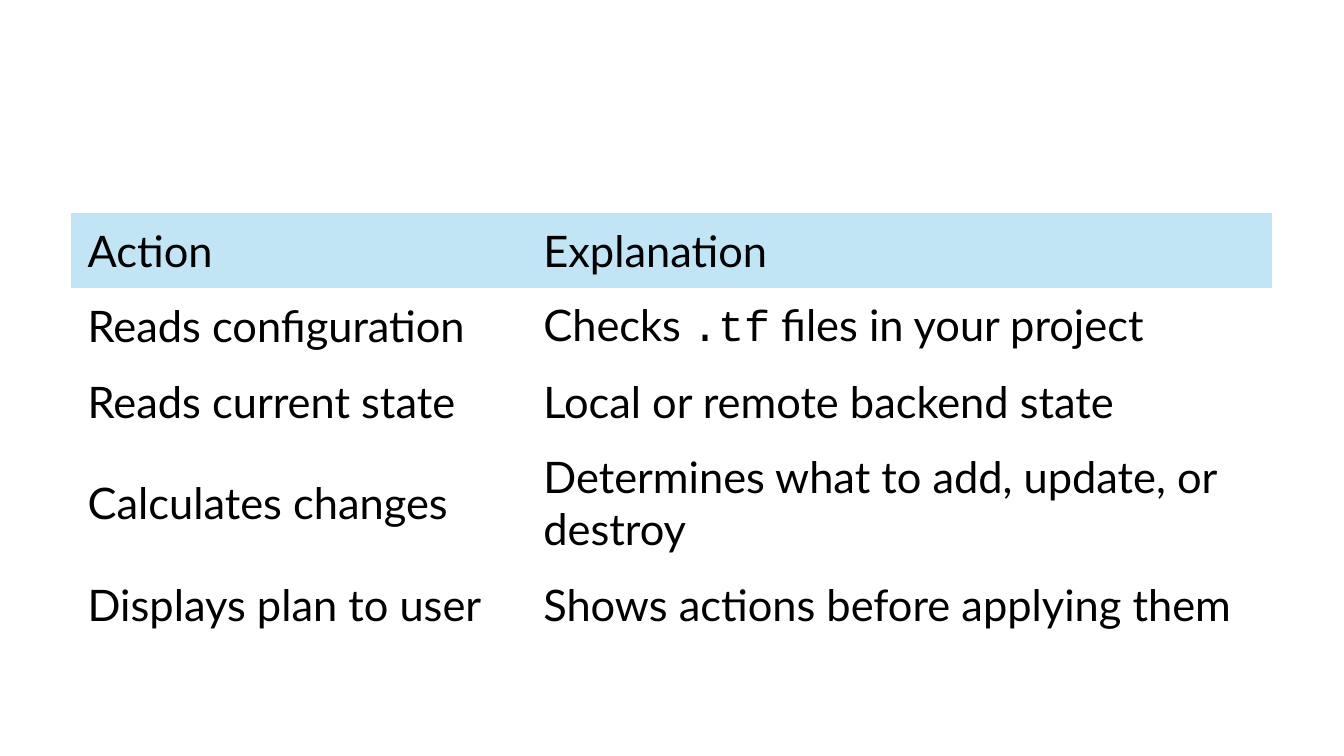
from pptx import Presentation
from pptx import util as u
from pptx.dml.color import RGBColor
from pptx.enum import text

PX = 9144  # 100 px to the inch
COLORS = {"header": "C1E5F5", "ink": "000000", "page": "FFFFFF"}
FONTS = {"body": "Lato", "code": "Courier New"}
NO_STYLE_NO_GRID = "{2D5ABB26-0587-4C30-8999-92F81FD0307C}"

TABLE_BOX = (70, 211, 1192, 425)
COLUMN_WIDTHS = (452, 740)
ROW_HEIGHTS = (75, 75, 75, 126, 75)
PLAN_STEPS = [
    ("Action", "Explanation"),
    ("Reads configuration", "Checks `.tf` files in your project"),
    ("Reads current state", "Local or remote backend state"),
    ("Calculates changes", "Determines what to add, update, or destroy"),
    ("Displays plan to user", "Shows actions before applying them"),
]


def px(length):
    return u.Emu(length * PX)


def write_text(para, words, size=31, color="ink"):
    """Fill a paragraph; words between backticks are set in the code font."""
    for index, piece in enumerate(words.split("`")):
        span = para.add_run()
        span.text = piece
        span.font.name = FONTS["code" if index % 2 else "body"]
        span.font.size = u.Pt(size)
        span.font.bold = False
        span.font.color.rgb = RGBColor.from_string(COLORS[color])


def format_cell(cell, is_header):
    cell.vertical_anchor = text.MSO_ANCHOR.MIDDLE
    cell.margin_left = cell.margin_right = px(17)
    cell.margin_top = cell.margin_bottom = px(8)
    if is_header:
        cell.fill.solid()
        cell.fill.fore_color.rgb = RGBColor.from_string(COLORS["header"])
    else:
        cell.fill.background()


def add_steps_table(page, box):
    frame = page.shapes.add_table(
        len(PLAN_STEPS), len(COLUMN_WIDTHS), *map(px, box))
    table = frame.table
    table.horz_banding = False
    for style in table._tbl.tblPr.iter("{*}tableStyleId"):
        style.text = NO_STYLE_NO_GRID
    for column, width in zip(table.columns, COLUMN_WIDTHS):
        column.width = px(width)
    for row_index, (row, height) in enumerate(zip(table.rows, ROW_HEIGHTS)):
        row.height = px(height)
        for cell, words in zip(row.cells, PLAN_STEPS[row_index]):
            format_cell(cell, is_header=row_index == 0)
            write_text(cell.text_frame.paragraphs[0], words)


def main():
    deck = Presentation()
    deck.slide_width, deck.slide_height = px(1333), px(750)
    page = deck.slides.add_slide(deck.slide_layouts.get_by_name("Blank"))
    page.background.fill.solid()
    page.background.fill.fore_color.rgb = RGBColor.from_string(COLORS["page"])
    add_steps_table(page, TABLE_BOX)
    deck.save("out.pptx")


if __name__ == "__main__":
    main()
